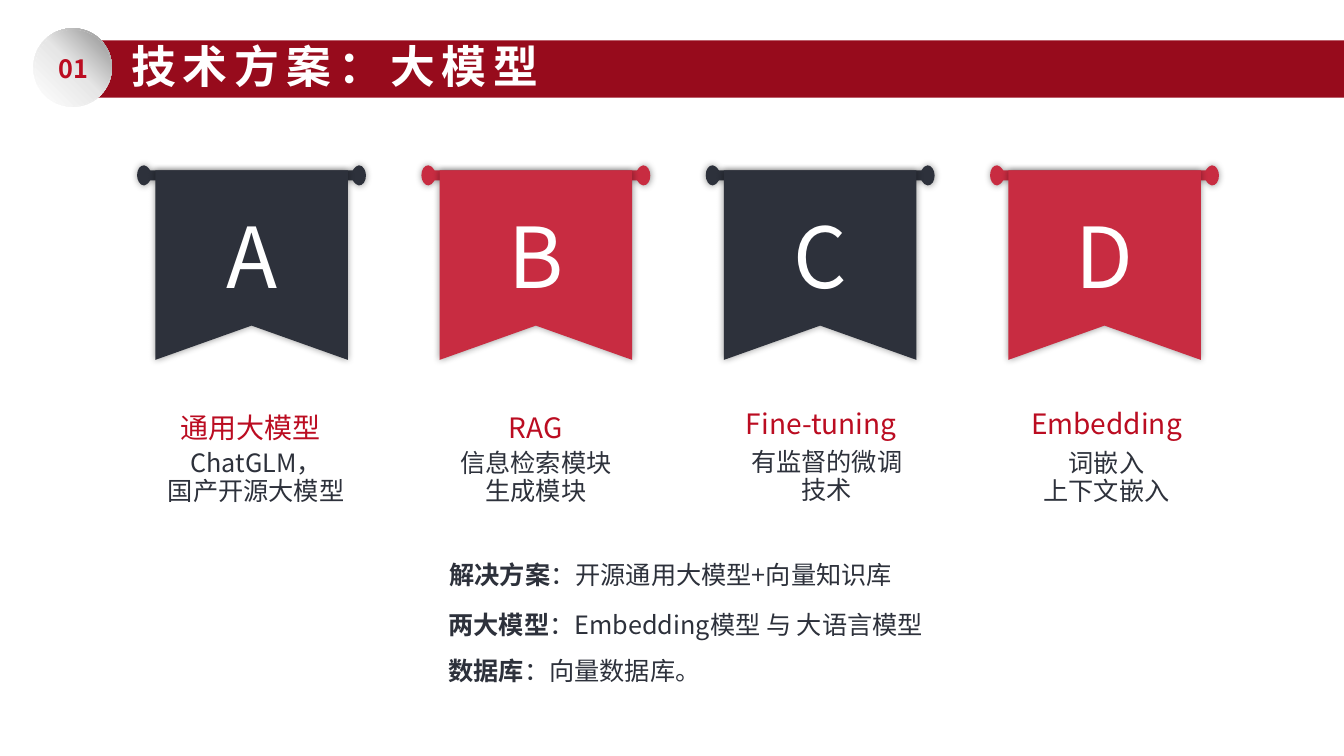
import pptx
import pptx.dml.color
import pptx.enum.shapes
import pptx.enum.text
import pptx.oxml.ns
import pptx.util
from lxml import etree

RGBColor = pptx.dml.color.RGBColor
SHAPE = pptx.enum.shapes.MSO_SHAPE
ANCHOR = pptx.enum.text.MSO_ANCHOR
ALIGN = pptx.enum.text.PP_ALIGN
FIT = pptx.enum.text.MSO_AUTO_SIZE
Inches, Pt = pptx.util.Inches, pptx.util.Pt
qn = pptx.oxml.ns.qn

FONT = "Noto Sans CJK SC"
WHITE = RGBColor(0xFF, 0xFF, 0xFF)
BAND_RED = RGBColor(0x97, 0x0B, 0x1C)
TEXT_RED = RGBColor(0xBB, 0x0C, 0x21)
FLAG_RED = RGBColor(0xC8, 0x2C, 0x41)
DARK = RGBColor(0x2D, 0x31, 0x3B)
BADGE_STOPS = [(0, WHITE), (51, RGBColor(0xE6, 0xE6, 0xE6)), (100, RGBColor(0x8F, 0x8F, 0x8F))]

SLIDE_W, SLIDE_H = 13.33, 7.5
FLAG_LEFT, FLAG_PITCH, FLAG_TOP = 1.36, 2.82, 1.64
LABEL_LEFT, LABEL_PITCH, LABEL_W = 1.6, 2.83, 1.77
ROD_W, ROD_H = 2.27, 0.2
CLOTH_W, CLOTH_H, NOTCH_H = 1.91, 1.88, 1.54
NECK = (0.13, 0.05)
BALL_CURVES = [
    [(0.11, 0.02), (0.09, 0), (0.07, 0)],
    [(0.03, 0), (0, 0.04), (0, 0.1)],
    [(0, 0.15), (0.03, 0.2), (0.07, 0.2)],
    [(0.09, 0.2), (0.11, 0.18), (0.13, 0.15)],
]

FLAGS = [
    ("A", DARK, "通用大模型", ["ChatGLM，", "国产开源大模型"], 3.94, 4.41, -0.11, 2.1),
    ("B", FLAG_RED, "RAG", ["信息检索模块", "生成模块"], 3.94, 4.41, 0, LABEL_W),
    ("C", DARK, "Fine-tuning", ["有监督的微调技术"], 3.9, 4.4, 0, 1.88),
    ("D", FLAG_RED, "Embedding", ["词嵌入", "上下文嵌入"], 3.9, 4.41, 0, LABEL_W),
]
SOLUTION = [("解决方案", "：开源通用大模型+向量知识库")]
MODELS = [("两大模型", "：Embedding模型 与 大语言模型"), ("数据库", "：向量数据库。")]


def apply(obj, values):
    for name, value in values.items():
        setattr(obj, name, value)


def add_run(p, text, size, color, bold=False):
    r = p.add_run()
    r.text = text
    apply(r.font, {"name": FONT, "size": Pt(size), "bold": bold})
    r.font.color.rgb = color
    etree.SubElement(r.font._element, qn("a:ea")).set("typeface", FONT)


def write(sp, lines, size, color, para=None, frame=None):
    tf = sp.text_frame
    apply(tf, {"word_wrap": True, **(frame or {})})
    for i, runs in enumerate(lines):
        p = tf.add_paragraph() if i else tf.paragraphs[0]
        apply(p, para or {})
        for text, bold in runs:
            add_run(p, text, size, color, bold)


def add_text(shapes, box, lines, size, color, para=None, frame=None):
    sp = shapes.add_textbox(*map(Inches, box))
    write(sp, lines, size, color, para, {"auto_size": FIT.SHAPE_TO_FIT_TEXT, **(frame or {})})


def paint(sp, color):
    sp.shadow.inherit = False
    sp.fill.solid()
    sp.fill.fore_color.rgb = color
    sp.line.fill.background()


def paint_gradient(sp):
    sp.shadow.inherit = False
    sp.line.fill.background()
    sp.fill.gradient()
    sp.fill.gradient_angle = 45
    stops = sp._element.spPr.find(".//" + qn("a:gsLst"))
    for gs in list(stops):
        stops.remove(gs)
    for pos, color in BADGE_STOPS:
        gs = etree.SubElement(stops, qn("a:gs"), pos=str(pos * 1000))
        etree.SubElement(gs, qn("a:srgbClr"), val=str(color))


def add_glow_shadow(sp):
    effects = sp._element.spPr.find(qn("a:effectLst"))
    shadow = etree.SubElement(effects, qn("a:outerShdw"), blurRad=str(Pt(5)), dist="0", dir="0",
                              algn="ctr", rotWithShape="0")
    color = etree.SubElement(shadow, qn("a:srgbClr"), val="000000")
    etree.SubElement(color, qn("a:alpha"), val="40000")


def add_outline(shapes, left, top, points, color):
    pts = [(Inches(left + x), Inches(top + y)) for x, y in points]
    fb = shapes.build_freeform(*pts[0], scale=1.0)
    fb.add_line_segments(pts[1:], close=True)
    sp = fb.convert_to_shape()
    paint(sp, color)
    add_glow_shadow(sp)
    return sp


def bend(segment, curve):
    segment.tag
    bezier = etree.Element(qn("a:cubicBezTo"))
    for x, y in curve:
        etree.SubElement(bezier, qn("a:pt"), x=str(Inches(x)), y=str(Inches(y)))
    segment.getparent().replace(segment, bezier)


def turned(point):
    return ROD_W - point[0], ROD_H - point[1]


def add_rod(shapes, left, color):
    right_curves = [[turned(pt) for pt in curve] for curve in BALL_CURVES]
    ends = [NECK] + [curve[-1] for curve in BALL_CURVES]
    sp = add_outline(shapes, left, FLAG_TOP, ends + [turned(pt) for pt in ends], color)
    segments = list(sp._element.spPr.iter(qn("a:lnTo")))
    half = len(BALL_CURVES)
    for segment, curve in zip(segments[:half] + segments[half + 1:], BALL_CURVES + right_curves):
        bend(segment, curve)


def add_flag(s, col, letter, color):
    shapes = s.shapes.add_group_shape().shapes
    left = FLAG_LEFT + FLAG_PITCH * col
    add_rod(shapes, left, color)
    cloth = [(CLOTH_W / 2, NOTCH_H), (CLOTH_W, CLOTH_H), (CLOTH_W, 0), (0, 0), (0, CLOTH_H)]
    sp = add_outline(shapes, left + (ROD_W - CLOTH_W) / 2, FLAG_TOP + NECK[1], cloth, color)
    write(sp, [[(letter, False)]], 60, WHITE, {"alignment": ALIGN.CENTER},
          {"vertical_anchor": ANCHOR.MIDDLE, "margin_top": 0, "margin_bottom": Inches(0.2)})


def add_label(s, col, head, body, head_top, body_top, shift, width):
    shapes = s.shapes.add_group_shape().shapes
    left = LABEL_LEFT + LABEL_PITCH * col
    add_text(shapes, (left, head_top, LABEL_W, 0.6), [[(head, False)]], 20, TEXT_RED,
             {"alignment": ALIGN.CENTER},
             {"vertical_anchor": ANCHOR.MIDDLE, "margin_left": 0, "margin_right": 0,
              "margin_top": Inches(0.13), "margin_bottom": Inches(0.13)})
    add_text(shapes, (left + shift, body_top, width, 0.66), [[(line, False)] for line in body],
             18, DARK, {"alignment": ALIGN.CENTER, "line_spacing": Pt(20)})


def add_notes(s, box, items):
    lines = [[(term, True), (rest, False)] for term, rest in items]
    add_text(s.shapes, box, lines, 18, DARK, {"line_spacing": 1.5})


def add_header(s):
    band = s.shapes.add_shape(SHAPE.RECTANGLE, *map(Inches, (0.79, 0.4, SLIDE_W - 0.79, 0.57)))
    paint(band, BAND_RED)
    title = s.shapes.title
    apply(title, dict(zip(("left", "top", "width", "height"), map(Inches, (1.2, 0.33, 4.51, 0.64)))))
    write(title, [[("技术方案：大模型", True)]], 32, WHITE, {"alignment": ALIGN.LEFT},
          {"vertical_anchor": ANCHOR.TOP, "auto_size": FIT.SHAPE_TO_FIT_TEXT})
    title.text_frame.paragraphs[0].runs[0].font._element.set("spc", "500")
    band._element.addnext(title._element)


def add_badge(s):
    shapes = s.shapes.add_group_shape().shapes
    ring = shapes.add_shape(SHAPE.DONUT, *map(Inches, (0.33, 0.28, 0.78, 0.78)))
    ring.adjustments[0] = 0.05
    disc = shapes.add_shape(SHAPE.OVAL, *map(Inches, (0.35, 0.3, 0.75, 0.75)))
    for sp in (ring, disc):
        paint_gradient(sp)
    write(disc, [[("01", True)]], 18, TEXT_RED, {"alignment": ALIGN.CENTER},
          {"vertical_anchor": ANCHOR.MIDDLE})


def main():
    prs = pptx.Presentation()
    prs.slide_width, prs.slide_height = Inches(SLIDE_W), Inches(SLIDE_H)
    s = prs.slides.add_slide(prs.slide_layouts.get_by_name("Title Only"))
    add_header(s)
    add_badge(s)
    for col, (letter, color, *label) in enumerate(FLAGS):
        add_flag(s, col, letter, color)
        add_label(s, col, *label)
    add_notes(s, (4.36, 5.35, 7.77, 0.96), SOLUTION)
    add_notes(s, (4.35, 5.85, 6.77, 0.96), MODELS)
    prs.save("out.pptx")


if __name__ == "__main__":
    main()
